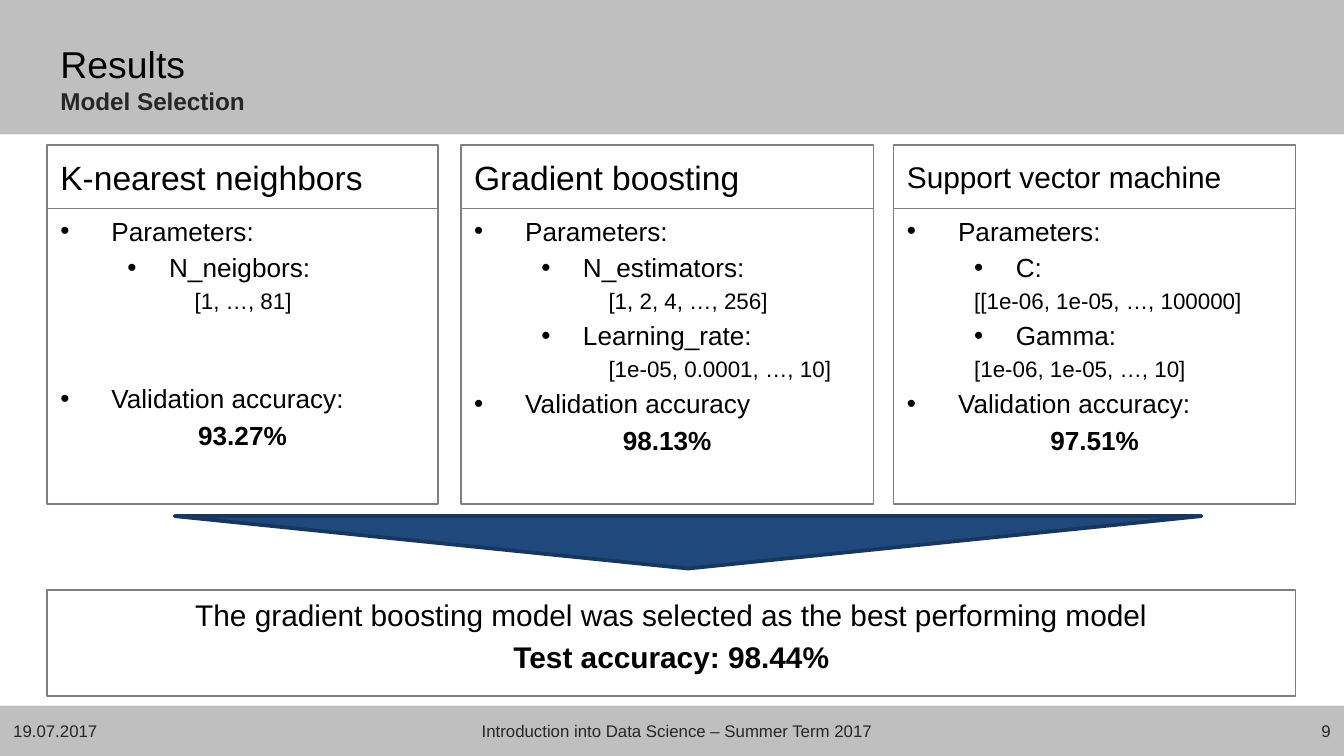
from lxml.etree import SubElement
from pptx import Presentation
from pptx.dml.color import RGBColor
from pptx.enum.shapes import MSO_SHAPE
from pptx.enum.text import MSO_ANCHOR, PP_ALIGN
from pptx.oxml.ns import qn
from pptx.util import Inches, Pt

COLORS = {"band": "BFBFBF", "border": "808080", "arrow": "1F497D",
          "arrow_edge": "17375E", "text": "000000", "muted": "262626"}
FONT = "Arial"
WIDTH = 10
HEIGHT = WIDTH * 9 / 16

# Grid: (left, width) of columns and (top, height) of rows, in inches
COLUMNS = [(0.35, 2.91), (3.43, 3.07), (6.65, 2.99)]
FULL_COLUMN = (0.35, 9.29)
HEADER_ROW, DETAIL_ROW = (1.08, 0.47), (1.55, 2.2)
ARROW_ROW, SUMMARY_ROW, FOOTER_ROW = (3.84, 0.39), (4.39, 0.79), (5.32, 0.24)

# Paragraph styles: size, bold, left margin, first-line indent, bullet, alignment
STYLES = {
    "item": (14, False, 0.38, -0.38, True, PP_ALIGN.LEFT),
    "parameter": (14, False, 0.81, -0.31, True, PP_ALIGN.LEFT),
    "values": (12, False, 1.25, -0.25, False, PP_ALIGN.LEFT),
    "near values": (12, False, 0.81, -0.31, False, PP_ALIGN.LEFT),
    "score": (14, True, 0.38, -0.38, False, PP_ALIGN.CENTER),
    "heading": (18, False, 0, 0, False, PP_ALIGN.LEFT),
    "small heading": (16, False, 0.38, -0.38, False, PP_ALIGN.LEFT),
    "summary": (16, False, 0.38, -0.38, False, PP_ALIGN.CENTER),
    "summary score": (16, True, 0.38, -0.38, False, PP_ALIGN.CENTER),
}

MODELS = [
    (("heading", "K-nearest neighbors"), [
        ("item", "Parameters:"),
        ("parameter", "N_neigbors:"), ("values", "[1, …, 81]"),
        ("item", "Validation accuracy:"), ("score", "93.27%")]),
    (("heading", "Gradient boosting"), [
        ("item", "Parameters:"),
        ("parameter", "N_estimators:"), ("values", "[1, 2, 4, …, 256]"),
        ("parameter", "Learning_rate:"), ("values", "[1e-05, 0.0001, …, 10]"),
        ("item", "Validation accuracy"), ("score", "98.13%")]),
    (("small heading", "Support vector machine"), [
        ("item", "Parameters:"),
        ("parameter", "C:"), ("near values", "[[1e-06, 1e-05, …, 100000]"),
        ("parameter", "Gamma:"), ("near values", "[1e-06, 1e-05, …, 10]"),
        ("item", "Validation accuracy:"), ("score", "97.51%")]),
]


def format_span(span, size, color, bold=False):
    span.font.name = FONT
    span.font.size = Pt(size)
    span.font.bold = bold
    span.font.color.rgb = RGBColor.from_string(COLORS[color])


def add_panel(page, column, row, lines, anchor=MSO_ANCHOR.TOP):
    """Add a bordered text box holding (style, text) lines."""
    box = page.shapes.add_textbox(Inches(column[0]), Inches(row[0]),
                                  Inches(column[1]), Inches(row[1]))
    box.line.color.rgb = RGBColor.from_string(COLORS["border"])
    box.line.width = Pt(0.75)
    frame = box.text_frame
    frame.word_wrap = True
    frame.vertical_anchor = anchor
    frame.text = "\n".join(text for style, text in lines)
    for para, (style, text) in zip(frame.paragraphs, lines):
        size, bold, margin, indent, bullet, para.alignment = STYLES[style]
        para.space_before = Pt(0.2 * size)
        properties = para._p.get_or_add_pPr()
        properties.set("marL", str(Inches(margin)))
        properties.set("indent", str(Inches(indent)))
        if bullet:
            SubElement(properties, qn("a:buFont"), typeface=FONT)
            SubElement(properties, qn("a:buChar"), char="•")
        format_span(para.runs[0], size, "text", bold)
    return box


deck = Presentation()
deck.slide_width, deck.slide_height = Inches(WIDTH), Inches(HEIGHT)
page = deck.slides.add_slide(deck.slide_layouts[5])

# Header and footer bands, and the arrow down to the summary
for kind, column, row, color in [
        (MSO_SHAPE.RECTANGLE, (0, WIDTH), (0, 1), "band"),
        (MSO_SHAPE.RECTANGLE, (0, WIDTH), (5.25, HEIGHT - 5.25), "band"),
        (MSO_SHAPE.FLOWCHART_MERGE, (1.3, 7.64), ARROW_ROW, "arrow")]:
    shape = page.shapes.add_shape(kind, Inches(column[0]), Inches(row[0]),
                                  Inches(column[1]), Inches(row[1]))
    shape.shadow.inherit = False
    shape.fill.solid()
    shape.fill.fore_color.rgb = RGBColor.from_string(COLORS[color])
    if color == "arrow":
        shape.line.color.rgb = RGBColor.from_string(COLORS["arrow_edge"])
        shape.line.width = Pt(2)
    else:
        shape.line.fill.background()

# Title with subtitle, brought in front of the header band
title = page.shapes.title
page.shapes._spTree.append(title._element)
title.left, title.top = Inches(0.35), Inches(0.23)
title.width, title.height = Inches(8.43), Inches(0.7)
title.text_frame.text = "Results\vModel Selection"
title.text_frame.vertical_anchor = MSO_ANCHOR.MIDDLE
para = title.text_frame.paragraphs[0]
para.alignment = PP_ALIGN.LEFT
format_span(para.runs[0], 20, "text")
format_span(para.runs[1], 13, "muted", bold=True)

# One header and one detail panel per model
detail_panels = []
for column, (heading, details) in zip(COLUMNS, MODELS):
    add_panel(page, column, HEADER_ROW, [heading], MSO_ANCHOR.MIDDLE)
    detail_panels.append(add_panel(page, column, DETAIL_ROW, details))

# The first model has one parameter only: push its accuracy down
detail_panels[0].text_frame.paragraphs[3].space_before = Pt(36.5)

# Summary
add_panel(page, FULL_COLUMN, SUMMARY_ROW, [
    ("summary", "The gradient boosting model was selected as the best performing model"),
    ("summary score", "Test accuracy: 98.44%")])

# Footer: date, course and page number
for left, width, text, alignment in [
        (0, 0.91, "19.07.2017", PP_ALIGN.LEFT),
        (1.06, 7.95, "Introduction into Data Science – Summer Term 2017", PP_ALIGN.CENTER),
        (9.09, 0.91, "9", PP_ALIGN.RIGHT)]:
    box = page.shapes.add_textbox(Inches(left), Inches(FOOTER_ROW[0]),
                                  Inches(width), Inches(FOOTER_ROW[1]))
    box.text_frame.word_wrap = True
    box.text_frame.vertical_anchor = MSO_ANCHOR.MIDDLE
    box.text_frame.text = text
    para = box.text_frame.paragraphs[0]
    para.alignment = alignment
    format_span(para.runs[0], 9, "muted")

deck.save("out.pptx")
